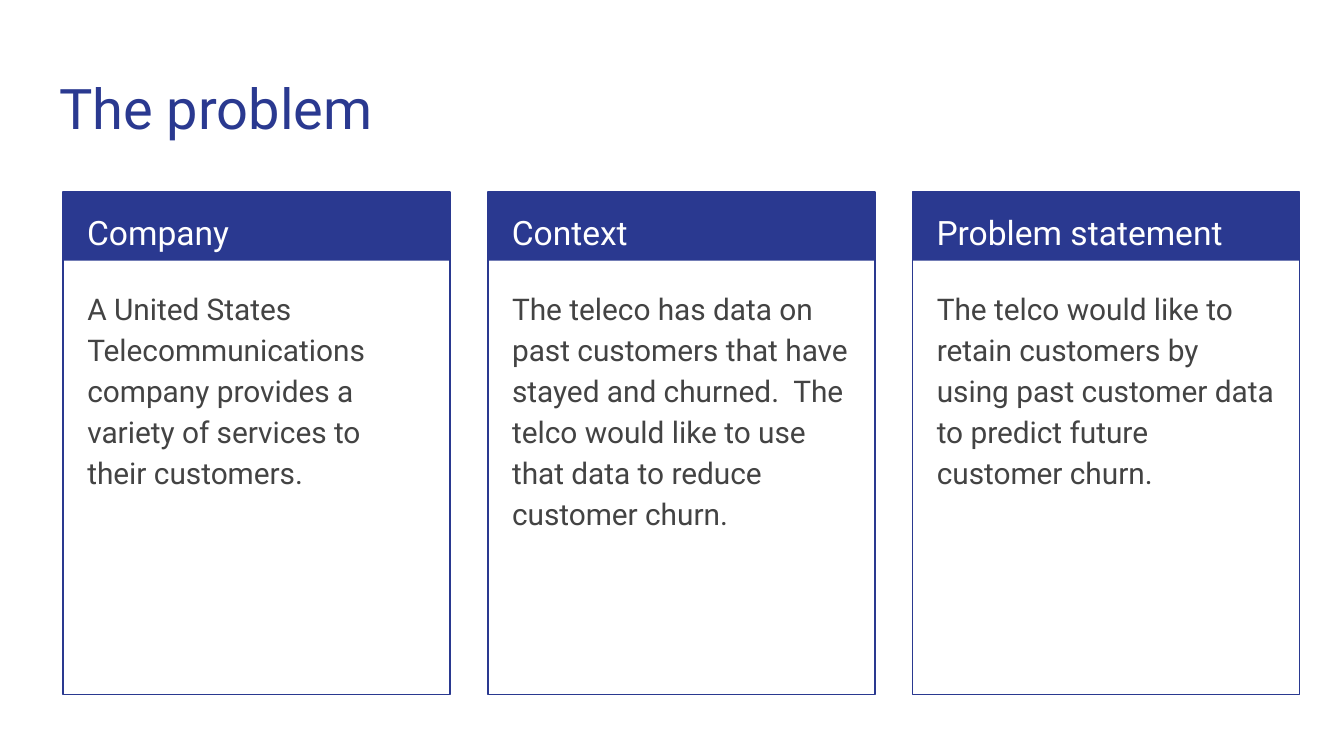
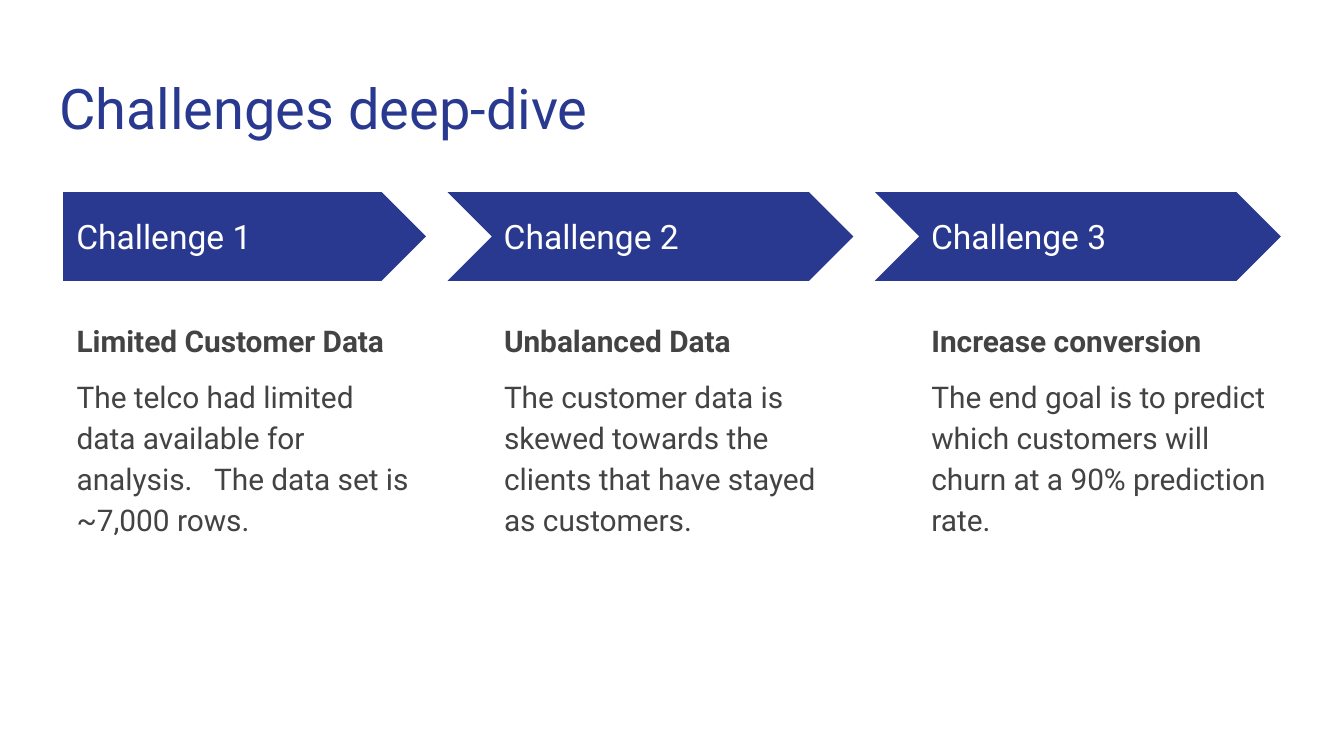
from pptx import Presentation
from pptx import util as u
from pptx.dml.color import RGBColor
from pptx.enum import shapes, text
from pptx.oxml.ns import qn
from lxml import etree

# Content
PROBLEM_TITLE = "The problem"
PROBLEM_CARDS = [
    ("Company", "A United States Telecommunications company provides a variety "
                "of services to their customers."),
    ("Context", "The teleco has data on past customers that have stayed and "
                "churned.  The telco would like to use that data to reduce "
                "customer churn."),
    ("Problem statement", "The telco would like to retain customers by using past "
                          "customer data to predict future customer churn."),
]
CHALLENGES_TITLE = "Challenges deep-dive"
CHALLENGES = [
    ("Challenge 1", "Limited Customer Data",
     "The telco had limited data available for analysis.   The data set is ~7,000 rows."),
    ("Challenge 2", "Unbalanced Data",
     "The customer data is skewed towards the clients that have stayed as customers."),
    ("Challenge 3", "Increase conversion",
     "The end goal is to predict which customers will churn at a 90% prediction rate."),
]

# Shared style
BLUE = RGBColor(0x2A, 0x39, 0x90)
GREY = RGBColor(0x43, 0x43, 0x43)
WHITE = RGBColor(0xFF, 0xFF, 0xFF)
FONT = "Roboto"
TITLE = {"size": u.Pt(30), "color": BLUE, "bold": False}
HEADER = {"size": u.Pt(18), "color": WHITE, "bold": False}
BODY = {"size": u.Pt(16), "color": GREY, "bold": False}
LEAD = {**BODY, "bold": True}
TOP = text.MSO_ANCHOR.TOP
MIDDLE = text.MSO_ANCHOR.MIDDLE
RECTANGLE = shapes.MSO_SHAPE.RECTANGLE

# Shared geometry, in inches
LEFT, BAND_TOP = 0.47, 1.43
CARD_STEP, CARD_WIDTH, CARD_HEIGHT, CARD_HEADER = 3.16, 2.88, 3.74, 0.51
CARD_PADDING = 0.08
ARROW_STEP, ARROW_HEIGHT = 3.18, 0.66
PLATE_WIDTH, CHEVRON_WIDTH, CHEVRON_OVERHANG = 2.7, 3.02, 0.32


def place(shape, left, top, width, height):
    box = {"left": left, "top": top, "width": width, "height": height}
    for name, value in box.items():
        setattr(shape, name, u.Inches(value))


def write(shape, lines, anchor=TOP):
    """Fill a shape with (words, font style, paragraph format) lines."""
    frame = shape.text_frame
    settings = {"word_wrap": True, "auto_size": text.MSO_AUTO_SIZE.NONE,
                "vertical_anchor": anchor}
    for side in ("left", "top", "right", "bottom"):
        settings["margin_" + side] = u.Inches(0.1)
    for name, value in settings.items():
        setattr(frame, name, value)

    for index, (words, style, spacing) in enumerate(lines):
        paragraph = frame.add_paragraph() if index else frame.paragraphs[0]
        layout = {"alignment": text.PP_ALIGN.LEFT, "line_spacing": 1.0,
                  "space_before": u.Pt(0), "space_after": u.Pt(0), **spacing}
        for name, value in layout.items():
            setattr(paragraph, name, value)
        # Switch off the template's bullet and hanging indent
        properties = paragraph._p.get_or_add_pPr()
        properties.set("marL", "0")
        properties.set("indent", "0")
        etree.SubElement(properties, qn("a:buNone"))

        run = paragraph.add_run()
        run.text = words
        run.font.name = FONT
        run.font.size = style["size"]
        run.font.bold = style["bold"]
        run.font.color.rgb = style["color"]


def add_header(slide, words, box, line_spacing=1.0, anchor=TOP):
    textbox = slide.shapes.add_textbox(*map(u.Inches, box))
    write(textbox, [(words, HEADER, {"line_spacing": line_spacing})], anchor)


def add_block(slide, kind, box, filled=True):
    """Add a solid blue shape, or an outlined one without fill."""
    shape = slide.shapes.add_shape(kind, *map(u.Inches, box))
    shape.shadow.inherit = False
    if filled:
        shape.fill.solid()
        shape.fill.fore_color.rgb = BLUE
        shape.line.fill.background()
    else:
        shape.fill.background()
        shape.line.color.rgb = BLUE
        shape.line.width = u.Pt(0.75)
    return shape


def add_slide(presentation, title, column_count):
    """Return a titled slide and one body placeholder per column."""
    slide = presentation.slides.add_slide(
        presentation.slide_layouts.get_by_name("Comparison"))
    place(slide.shapes.title, 0.34, 0.45, 9.32, 0.66)
    write(slide.shapes.title, [(title, TITLE, {})])
    bodies = [holder for holder in slide.placeholders
              if holder.placeholder_format.idx > 0]
    for spare in bodies[column_count:]:
        spare._element.getparent().remove(spare._element)
    return slide, bodies[:column_count]


def build_problem(presentation):
    slide, bodies = add_slide(presentation, PROBLEM_TITLE, len(PROBLEM_CARDS))
    for index, (header, words) in enumerate(PROBLEM_CARDS):
        left = LEFT + index * CARD_STEP
        inner = left + CARD_PADDING
        # Card: header band and outline
        add_block(slide, RECTANGLE, (left, BAND_TOP, CARD_WIDTH, CARD_HEADER))
        add_block(slide, RECTANGLE, (left, BAND_TOP, CARD_WIDTH, CARD_HEIGHT),
                  filled=False)
        # Card text
        add_header(slide, header, (inner, BAND_TOP, 2.73, 0.5), line_spacing=1.15)
        place(bodies[index], inner, 2.02, 2.71, 3.06)
        write(bodies[index], [
            (words, BODY, {"line_spacing": 1.15, "space_after": u.Pt(16)})])


def build_challenges(presentation):
    slide, bodies = add_slide(presentation, CHALLENGES_TITLE, len(CHALLENGES))
    for index, (header, lead, words) in enumerate(CHALLENGES):
        left = LEFT + index * ARROW_STEP
        # Arrow: flat start first, then chevrons reaching back to the one before
        if index == 0:
            kind, overhang, width = shapes.MSO_SHAPE.PENTAGON, 0, PLATE_WIDTH
        else:
            kind, overhang, width = (shapes.MSO_SHAPE.CHEVRON, CHEVRON_OVERHANG,
                                     CHEVRON_WIDTH)
        arrow = add_block(slide, kind,
                          (left - overhang, BAND_TOP, width, ARROW_HEIGHT))
        arrow.adjustments[0] = 0.5
        # Challenge text
        add_header(slide, header, (left, 1.59, 2.47, 0.34), anchor=MIDDLE)
        place(bodies[index], left, 2.26, 2.7, 2.9)
        write(bodies[index], [
            (lead, LEAD, {"line_spacing": 1.15}),
            (words, BODY, {"line_spacing": 1.15, "space_before": u.Pt(8),
                           "space_after": u.Pt(8)})])


def main():
    presentation = Presentation()
    # Widescreen, 16:9
    presentation.slide_width = u.Inches(10)
    presentation.slide_height = u.Inches(10) * 9 // 16
    build_problem(presentation)
    build_challenges(presentation)
    presentation.save("out.pptx")


if __name__ == "__main__":
    main()
